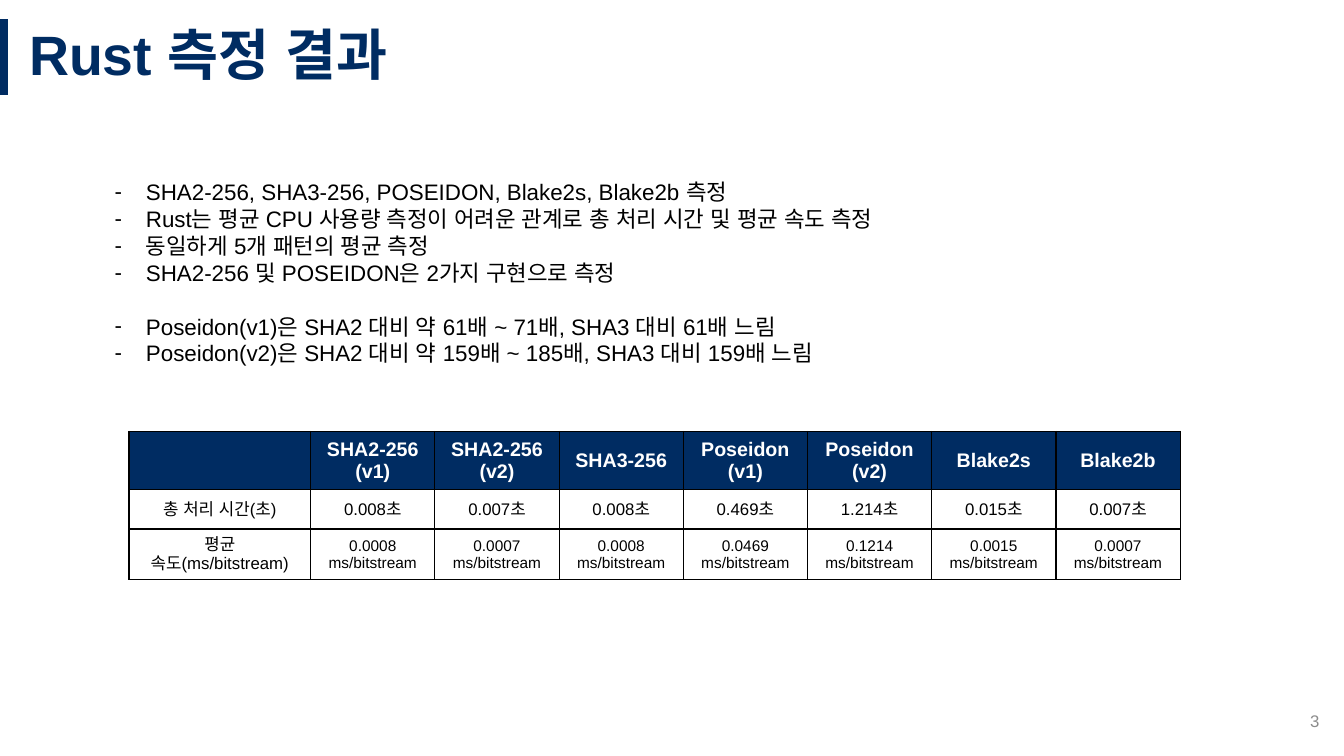
from pptx import Presentation
from pptx.dml.color import RGBColor
from pptx.enum.shapes import MSO_CONNECTOR
from pptx.enum.text import MSO_ANCHOR, MSO_AUTO_SIZE, PP_ALIGN
from pptx.oxml.ns import qn
from pptx.util import Cm, Pt
from lxml.etree import SubElement

NAVY, BLACK, WHITE, GRAY = "002C62", "000000", "FFFFFF", "8C8C8C"


def color(code):
    return RGBColor.from_string(code)


def write(frame, text, size=16, tone=BLACK, bold=False, align=PP_ALIGN.LEFT,
          anchor=MSO_ANCHOR.TOP, face="Arial"):
    """Fill a text frame with one paragraph per line and return them."""
    frame.word_wrap = True
    frame.vertical_anchor = anchor
    frame.text = text
    for para in frame.paragraphs:
        para.alignment = align
        for run in para.runs:
            font = run.font
            font.name, font.size, font.bold = face, Pt(size), bold
            font.color.rgb = color(tone)
            SubElement(font._element, qn("a:ea")).set("typeface", face)
    return frame.paragraphs


class Deck:
    def __init__(self):
        self.file = Presentation()
        self.file.slide_width, self.file.slide_height = Cm(33.87), Cm(19.05)
        self.slide = self.file.slides.add_slide(self.file.slide_layouts[5])
        self.shapes = self.slide.shapes

    def title(self, text, left, top, width, height):
        box = self.shapes.title
        box.left, box.top, box.width, box.height = map(Cm, (left, top, width, height))
        box.text_frame.auto_size = MSO_AUTO_SIZE.NONE
        for para in write(box.text_frame, text, size=39.6, tone=NAVY, bold=True,
                          anchor=MSO_ANCHOR.MIDDLE):
            para.line_spacing = 0.9

    def line(self, *ends, tone=NAVY, width=6):
        line = self.shapes.add_connector(MSO_CONNECTOR.STRAIGHT, *map(Cm, ends))
        line.line.color.rgb = color(tone)
        line.line.width = Pt(width)
        SubElement(line._element.spPr, qn("a:effectLst"))

    def text(self, text, *place, **style):
        box = self.shapes.add_textbox(*map(Cm, place))
        return write(box.text_frame, text, **style)

    def bullets(self, groups, *place, gap=19.2):
        lines = [item for group in groups for item in group]
        starts = [group[0] for group in groups[1:]]
        for para in self.text("\n".join(lines), *place):
            props = para._p.get_or_add_pPr()
            props.set("marL", str(Cm(0.79)))
            props.set("indent", str(-Cm(0.79)))
            if para.text in starts:
                para.space_before = Pt(gap)
            SubElement(props, qn("a:buFont")).set("typeface", "Arial")
            SubElement(props, qn("a:buChar")).set("char", "-")

    def border(self, cell, tone=BLACK, width=1):
        props = cell._tc.get_or_add_tcPr()
        for side in ("lnL", "lnR", "lnT", "lnB"):
            edge = SubElement(props, qn("a:" + side), w=str(Pt(width)))
            fill = SubElement(edge, qn("a:solidFill"))
            SubElement(fill, qn("a:srgbClr")).set("val", tone)

    def table(self, rows, left, top, widths, heights):
        frame = self.shapes.add_table(len(rows), len(widths), Cm(left), Cm(top),
                                      Cm(sum(widths)), Cm(sum(heights)))
        table = frame.table
        table.first_row = table.horz_banding = False
        for col, width in zip(table.columns, widths):
            col.width = Cm(width)
        for r, (row, height) in enumerate(zip(rows, heights)):
            table.rows[r].height = Cm(height)
            for c, text in enumerate(row):
                cell = table.cell(r, c)
                self.border(cell)
                if r == 0:
                    cell.fill.solid()
                    cell.fill.fore_color.rgb = color(NAVY)
                else:
                    cell.fill.background()
                size = 14 if r == 0 else 11 if r == 2 and c else 12
                write(cell.text_frame, text, size=size, bold=r == 0,
                      tone=BLACK if r else WHITE, align=PP_ALIGN.CENTER)
                cell.vertical_anchor = MSO_ANCHOR.MIDDLE


def main():
    deck = Deck()

    # Heading
    deck.line(0.1, 0.48, 0.1, 2.4)
    deck.title("Rust 측정 결과", 0.48, 0.48, 33.39, 1.92)

    # Findings
    deck.bullets([
        ["SHA2-256, SHA3-256, POSEIDON, Blake2s, Blake2b 측정",
         "Rust는 평균 CPU 사용량 측정이 어려운 관계로 총 처리 시간 및 평균 속도 측정",
         "동일하게 5개 패턴의 평균 측정",
         "SHA2-256 및 POSEIDON은 2가지 구현으로 측정"],
        ["Poseidon(v1)은 SHA2 대비 약 61배 ~ 71배, SHA3 대비 61배 느림",
         "Poseidon(v2)은 SHA2 대비 약 159배 ~ 185배, SHA3 대비 159배 느림"],
    ], 2.64, 4.37, 23.24, 5.05)

    # Results
    names = ["SHA2-256\n(v1)", "SHA2-256\n(v2)", "SHA3-256", "Poseidon\n(v1)",
             "Poseidon\n(v2)", "Blake2s", "Blake2b"]
    times = ["0.008", "0.007", "0.008", "0.469", "1.214", "0.015", "0.007"]
    rates = ["0.0008", "0.0007", "0.0008", "0.0469", "0.1214", "0.0015", "0.0007"]
    deck.table([
        ["", *names],
        ["총 처리 시간(초)", *(time + "초" for time in times)],
        ["평균 속도(ms/bitstream)", *(rate + "\nms/bitstream" for rate in rates)],
    ], 3.25, 10.87, [4.58] + [3.13] * len(names), [1.46, 1, 1.28])

    # Page number
    deck.text("3", 25.88, 17.65, 7.62, 1.02, size=12, tone=GRAY,
              align=PP_ALIGN.RIGHT, anchor=MSO_ANCHOR.MIDDLE)

    deck.file.save("out.pptx")


if __name__ == "__main__":
    main()
